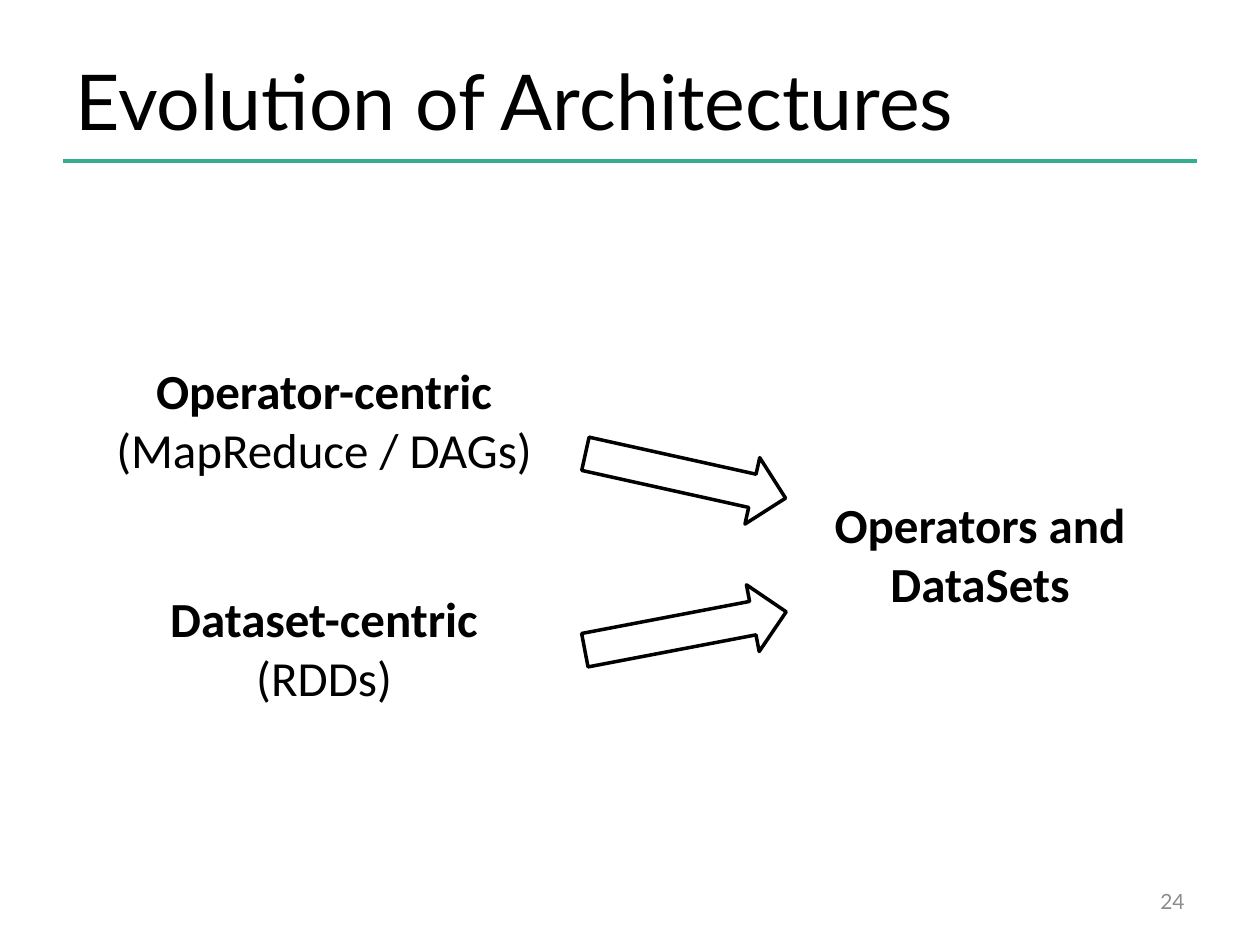
import pptx
import pptx.dml.color
import pptx.enum.shapes
import pptx.enum.text
import pptx.oxml
import pptx.util

PX = 914400 / 126
ALIGN = pptx.enum.text.PP_ALIGN
ANCHOR = pptx.enum.text.MSO_ANCHOR
BLACK = "000000"


def px(length):
    return pptx.util.Emu(round(length * PX))


def color(hex_value):
    return pptx.dml.color.RGBColor.from_string(hex_value)


def set_line(line, hex_value):
    line.color.rgb = color(hex_value)
    line.width = pptx.util.Pt(2)


def add_text(slide, box, paragraphs, font_format, frame_format, alignment):
    """Each paragraph is a list of (text, bold) lines parted by line breaks."""
    frame = slide.shapes.add_textbox(*map(px, box)).text_frame
    for name, value in frame_format.items():
        setattr(frame, name, value)
    for index, lines in enumerate(paragraphs):
        paragraph = frame.add_paragraph() if index else frame.paragraphs[0]
        paragraph.alignment = alignment
        for number, (text, bold) in enumerate(lines):
            if number:
                paragraph.add_line_break()
            run = paragraph.add_run()
            run.text = text
            run.font.bold = bold
            for name, value in font_format.items():
                if name == "color":
                    run.font.color.rgb = color(value)
                else:
                    setattr(run.font, name, value)


def add_header(slide, box):
    left, top, width, height = box
    rule = slide.shapes.add_connector(
        pptx.enum.shapes.MSO_CONNECTOR.STRAIGHT,
        px(left), px(top + height), px(left + width), px(top + height))
    set_line(rule.line, "34AD91")
    rule._element.spPr.append(pptx.oxml.parse_xml(
        '<a:effectLst xmlns:a="http://schemas.openxmlformats.org/drawingml/2006/main"/>'))
    add_text(slide, box, [[("Evolution of Architectures", False)]],
             {"size": pptx.util.Pt(44), "name": "Lato", "color": BLACK},
             {"word_wrap": True, "vertical_anchor": ANCHOR.MIDDLE}, ALIGN.LEFT)


def add_page_number(slide, box):
    add_text(slide, box, [[("24", False)]],
             {"size": pptx.util.Pt(12), "name": "Lato", "color": "8C8C8C"},
             {"word_wrap": True, "vertical_anchor": ANCHOR.MIDDLE}, ALIGN.RIGHT)


def add_label(slide, box, paragraphs):
    add_text(slide, box, paragraphs,
             {"size": pptx.util.Pt(28), "name": "Calibri", "color": BLACK},
             {"word_wrap": False,
              "auto_size": pptx.enum.text.MSO_AUTO_SIZE.SHAPE_TO_FIT_TEXT},
             ALIGN.CENTER)


def add_arrow(slide, box, rotation):
    arrow = slide.shapes.add_shape(
        pptx.enum.shapes.MSO_SHAPE.RIGHT_ARROW, *map(px, box))
    arrow.rotation = rotation
    arrow.shadow.inherit = False
    arrow.fill.solid()
    arrow.fill.fore_color.rgb = color("FFFFFF")
    set_line(arrow.line, BLACK)


def add_evolution(slide, box):
    """Two source architectures on the left, merging into one on the right."""
    left, top, width, height = box
    label_height = 131
    source_width, dataset_width, result_width = 446, 338, 320
    add_label(slide, (left, top, source_width, label_height),
              [[("Operator-centric", True), ("(MapReduce / DAGs)", False)]])
    add_label(slide, (left + (source_width - dataset_width) // 2,
                      top + height - label_height, dataset_width, label_height),
              [[("Dataset-centric", True)], [("(RDDs)", False)]])
    add_label(slide, (left + width - result_width, top + 134,
                      result_width, label_height),
              [[("Operators and", True), ("DataSets", True)]])
    for offset, rotation in ((88, 12.5), (243, 349.2)):
        add_arrow(slide, (left + 482, top + offset, 205, 68), rotation)


def main():
    presentation = pptx.Presentation()
    presentation.slide_width = px(1260)
    presentation.slide_height = px(945)
    slide = presentation.slides.add_slide(presentation.slide_layouts[6])
    add_header(slide, (63, 38, 1134, 123))
    add_page_number(slide, (903, 876, 294, 50))
    add_evolution(slide, (101, 354, 1039, 359))
    presentation.save("out.pptx")


if __name__ == "__main__":
    main()
